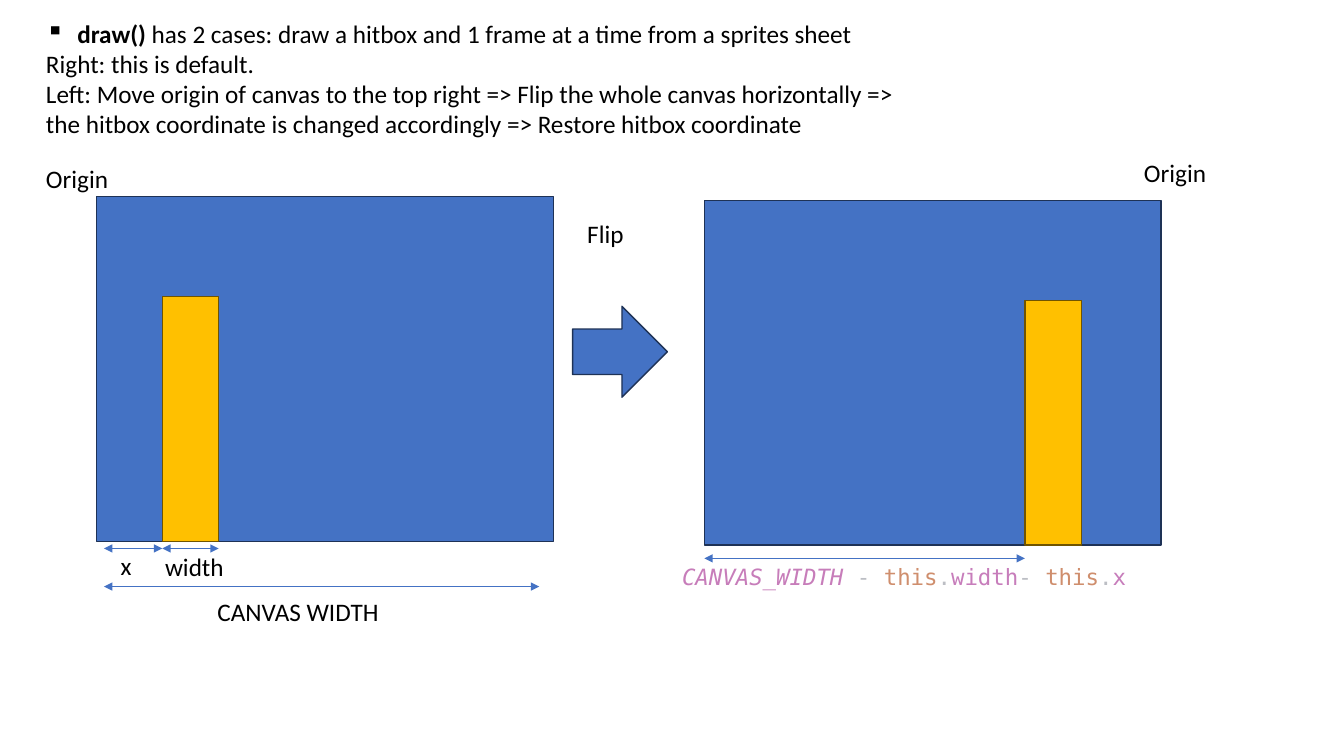
from dataclasses import dataclass

from lxml import etree
from pptx import Presentation
from pptx.dml.color import RGBColor
from pptx.enum import shapes, text
from pptx.oxml import ns
from pptx.util import Cm, Pt

BLUE, NAVY = "4472C4", "1E3256"
GOLD, BROWN = "FFC000", "705400"
BLACK, GREY, ORANGE, PINK = "000000", "BCBEC4", "CF8E6D", "C77DBB"
SANS, MONO = "Calibri", "DejaVu Sans Mono"
CANVAS_WIDTH, CANVAS_HEIGHT = 11.51, 8.69
HITBOX_WIDTH, HITBOX_HEIGHT = 1.42, 6.17


@dataclass
class Canvas:
    left: float
    top: float
    hitbox_left: float


@dataclass
class Span:
    words: str
    color: str = BLACK
    bold: bool = False
    italic: bool = False


@dataclass
class Label:
    left: float
    top: float
    width: float
    height: float
    paras: list[list[Span]]
    font: str = SANS
    size: int = 18
    bulleted: bool = False


@dataclass
class Measure:
    start: float
    end: float
    level: float


CANVASES = [Canvas(2.44, 4.95, 4.09), Canvas(17.75, 5.05, 25.83)]

MEASURES = [
    Measure(2.62, 4.09, 13.82),
    Measure(4.09, 5.51, 13.82),
    Measure(2.62, 13.59, 14.78),
    Measure(17.75, 25.83, 14.07),
]

INTRO = [
    [
        Span("draw()", bold=True),
        Span(" has 2 cases: draw a hitbox and 1 frame at a time from a sprites sheet"),
    ],
    [Span("Right: this is default.")],
    [Span(
        "Left: Move origin of canvas to the top right => Flip the whole canvas "
        "horizontally => the hitbox coordinate is changed accordingly => "
        "Restore hitbox coordinate"
    )],
]

FORMULA = [[
    Span("CANVAS_WIDTH ", "C77DBA", italic=True),
    Span("- ", GREY),
    Span("this", ORANGE),
    Span(".", GREY),
    Span("width", PINK),
    Span("- ", GREY),
    Span("this", ORANGE),
    Span(".", GREY),
    Span("x", PINK),
]]

LABELS = [
    Label(0.91, 0.33, 22.48, 4.11, INTRO, bulleted=True),
    Label(14.55, 5.38, 2.18, 2.34, [[Span("Flip")]]),
    Label(0.91, 3.99, 3.18, 2.34, [[Span("Origin")]]),
    Label(28.58, 3.84, 3.18, 2.34, [[Span("Origin")]]),
    Label(2.79, 13.74, 1.12, 1.02, [[Span("x")]]),
    Label(3.91, 13.77, 2.18, 1.02, [[Span("width")]]),
    Label(5.23, 14.91, 4.7, 1.02, [[Span("CANVAS WIDTH")]]),
    Label(16.94, 14.07, 16.93, 0.94, FORMULA, MONO, 16),
]


def rgb(color: str) -> RGBColor:
    return RGBColor.from_string(color)


def add_block(page, kind, left: float, top: float, width: float, height: float,
              fill: str, edge: str) -> None:
    block = page.shapes.add_shape(kind, Cm(left), Cm(top), Cm(width), Cm(height))
    block.shadow.inherit = False
    block.fill.solid()
    block.fill.fore_color.rgb = rgb(fill)
    block.line.color.rgb = rgb(edge)
    block.line.width = Pt(1)


def add_canvas(page, canvas: Canvas) -> None:
    rectangle = shapes.MSO_SHAPE.RECTANGLE
    add_block(page, rectangle, canvas.left, canvas.top, CANVAS_WIDTH, CANVAS_HEIGHT,
              BLUE, NAVY)
    hitbox_top = canvas.top + CANVAS_HEIGHT - HITBOX_HEIGHT
    add_block(page, rectangle, canvas.hitbox_left, hitbox_top, HITBOX_WIDTH,
              HITBOX_HEIGHT, GOLD, BROWN)


def add_measure(page, measure: Measure) -> None:
    arrow = page.shapes.add_connector(
        shapes.MSO_CONNECTOR.STRAIGHT,
        Cm(measure.start), Cm(measure.level), Cm(measure.end), Cm(measure.level),
    )
    arrow.line.color.rgb = rgb(BLUE)
    arrow.line.width = Pt(0.5)
    outline = arrow.line._get_or_add_ln()
    for end in ("a:headEnd", "a:tailEnd"):
        etree.SubElement(outline, ns.qn(end), type="triangle")
    etree.SubElement(arrow._element.spPr, ns.qn("a:effectLst"))


def add_bullet(para) -> None:
    properties = para._p.get_or_add_pPr()
    properties.set("marL", str(Cm(0.79)))
    properties.set("indent", str(-Cm(0.79)))
    etree.SubElement(properties, ns.qn("a:buChar"), char="▪")


def add_label(page, label: Label) -> None:
    box = page.shapes.add_textbox(
        Cm(label.left), Cm(label.top), Cm(label.width), Cm(label.height)
    )
    frame = box.text_frame
    frame_format = {
        "word_wrap": True,
        "auto_size": text.MSO_AUTO_SIZE.NONE,
        "vertical_anchor": text.MSO_ANCHOR.TOP,
    }
    for name, value in frame_format.items():
        setattr(frame, name, value)
    for index, spans in enumerate(label.paras):
        para = frame.add_paragraph() if index else frame.paragraphs[0]
        if label.bulleted and index == 0:
            add_bullet(para)
        for span in spans:
            run = para.add_run()
            run.text = span.words
            font_format = {
                "name": label.font,
                "size": Pt(label.size),
                "bold": span.bold,
                "italic": span.italic,
            }
            for name, value in font_format.items():
                setattr(run.font, name, value)
            run.font.color.rgb = rgb(span.color)


def main() -> None:
    deck = Presentation()
    deck.slide_width, deck.slide_height = Cm(33.87), Cm(19.05)
    page = deck.slides.add_slide(deck.slide_layouts[6])
    for canvas in CANVASES:
        add_canvas(page, canvas)
    add_block(page, shapes.MSO_SHAPE.RIGHT_ARROW, 14.43, 7.72, 2.39, 2.29, BLUE, NAVY)
    for measure in MEASURES:
        add_measure(page, measure)
    for label in LABELS:
        add_label(page, label)
    deck.save("out.pptx")


if __name__ == "__main__":
    main()
